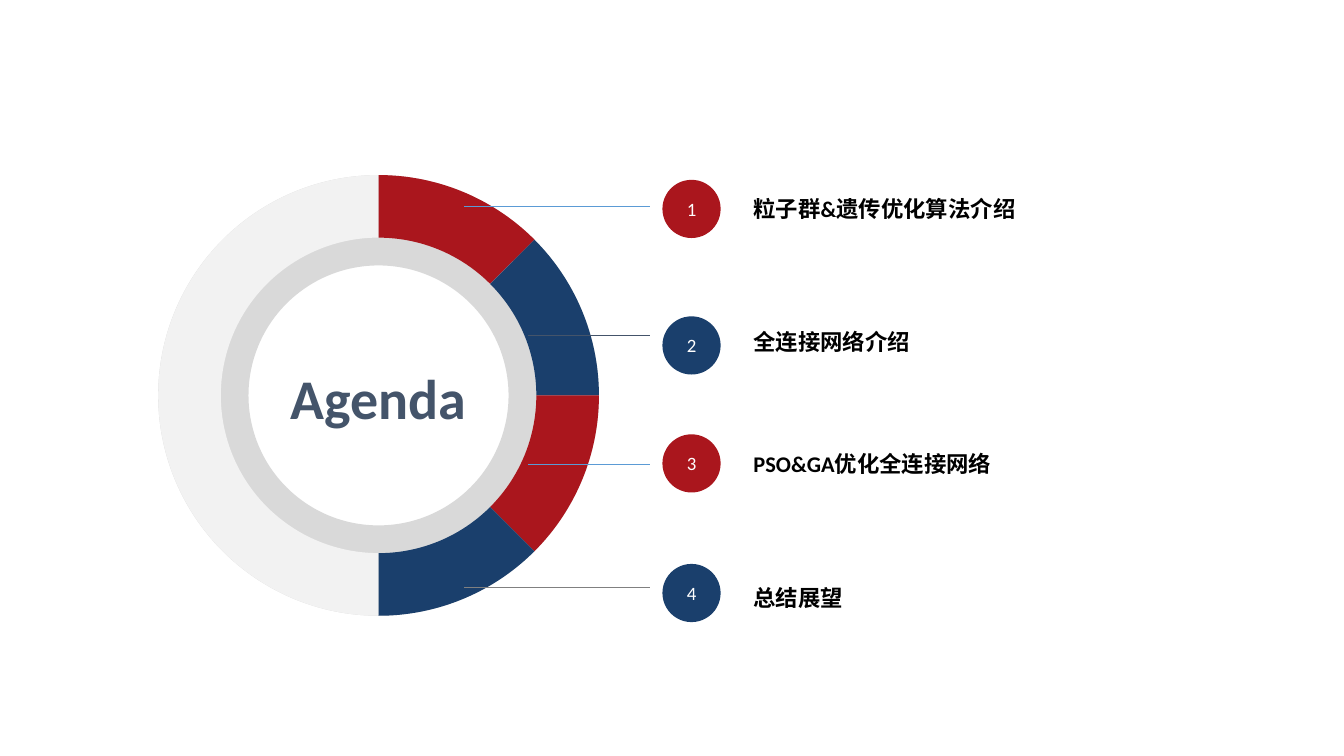
from math import cos, radians, sin

from lxml.etree import SubElement
from pptx import Presentation
from pptx.dml.color import RGBColor
from pptx.enum.shapes import MSO_CONNECTOR, MSO_SHAPE
from pptx.enum.text import MSO_ANCHOR, MSO_AUTO_SIZE, PP_ALIGN
from pptx.oxml.ns import qn
from pptx.util import Cm, Pt

COLORS = {
    "red": "AA161D", "navy": "1A3F6C", "pale": "F2F2F2", "ring": "D9D9D9",
    "slate": "44546A", "blue": "5B9BD5", "gray": "808080",
    "white": "FFFFFF", "black": "000000",
}
ENTRIES = [
    ("粒子群&遗传优化算法介绍", "red", "blue", 8.77, 3.90, 3.40, 3.58),
    ("全连接网络介绍", "navy", "slate", 9.98, 6.34, 5.98, 6.10),
    ("PSO&GA优化全连接网络", "red", "blue", 9.98, 8.78, 8.21, 8.41),
    ("总结展望", "navy", "gray", 8.77, 11.10, 10.66, 10.95),
]
STEP = 45


def rgb(name):
    """Return the named colour."""
    return RGBColor.from_string(COLORS[name])


def paint(shape, color):
    """Give a shape a flat fill without outline or shadow."""
    shape.shadow.inherit = False
    shape.fill.solid()
    shape.fill.fore_color.rgb = rgb(color)
    shape.line.fill.background()


def write_text(shape, text, size=12, color="black", bold=False,
               align=PP_ALIGN.LEFT, anchor=MSO_ANCHOR.TOP, grow=False):
    """Write one formatted paragraph into a shape."""
    frame = shape.text_frame
    frame.word_wrap = True
    frame.auto_size = MSO_AUTO_SIZE.SHAPE_TO_FIT_TEXT if grow else MSO_AUTO_SIZE.NONE
    frame.vertical_anchor = anchor
    frame.margin_left = frame.margin_right = Cm(0.19)
    frame.margin_top = frame.margin_bottom = Cm(0.1)
    paragraph = frame.paragraphs[0]
    paragraph.alignment = align
    run = paragraph.add_run()
    run.text = text
    run.font.name = "Calibri"
    run.font.size = Pt(size)
    run.font.bold = bold
    run.font.color.rgb = rgb(color)


def bend(segment, radius, angle, sweep):
    """Turn a straight path segment into a circular arc."""
    segment.tag = qn("a:arcTo")
    for point in list(segment):
        segment.remove(point)
    segment.set("wR", str(Cm(radius)))
    segment.set("hR", str(Cm(radius)))
    segment.set("stAng", str(angle % 360 * 60000))
    segment.set("swAng", str(sweep * 60000))


def add_sector(slide, center, radii, start, end, color):
    """Draw a ring sector between two angles, clockwise from the right."""
    outward = [(radii[0], angle) for angle in range(start, end + 1, STEP)]
    inward = [(radii[1], angle) for angle in range(end, start - 1, -STEP)]
    points = [
        (Cm(center[0] + radius * cos(radians(angle))),
         Cm(center[1] + radius * sin(radians(angle))))
        for radius, angle in outward + inward
    ]
    builder = slide.shapes.build_freeform(*points[0])
    builder.add_line_segments(points[1:], close=True)
    sector = builder.convert_to_shape()
    paint(sector, color)

    segments = list(sector._element.iter(qn("a:lnTo")))
    for segment, (radius, angle) in zip(segments, outward[:-1]):
        bend(segment, radius, angle, STEP)
    for segment, (radius, angle) in zip(segments[len(outward):], inward[:-1]):
        bend(segment, radius, angle, -STEP)


def add_wheel(slide, left, top, size):
    """Draw the ring, its sectors and the title in a square box."""
    donut = slide.shapes.add_shape(
        MSO_SHAPE.DONUT, Cm(left), Cm(top), Cm(size), Cm(size))
    donut.adjustments[0] = 0.205
    paint(donut, "ring")

    center = (left + size / 2, top + size / 2)
    radii = (size / 2, size * 0.358)
    add_sector(slide, center, radii, 90, 270, "pale")
    for index, entry in enumerate(ENTRIES):
        start = -90 + STEP * index
        add_sector(slide, center, radii, start, start + STEP, entry[1])

    title = slide.shapes.add_textbox(
        Cm(left + 1.93), Cm(top + 3.47), Cm(4.47), Cm(1.47))
    write_text(title, "Agenda", size=30, color="slate", bold=True,
               align=PP_ALIGN.CENTER, grow=True)


def add_entries(slide, left, width):
    """Draw the leader, numbered circle and label of each entry."""
    diameter = 1.1
    label_left = left + 1.53
    for number, entry in enumerate(ENTRIES, 1):
        text, color, line_color, leader_left, leader_y, circle_top, label_top = entry
        leader = slide.shapes.add_connector(
            MSO_CONNECTOR.STRAIGHT, Cm(leader_left), Cm(leader_y),
            Cm(left - 0.24), Cm(leader_y))
        leader.line.color.rgb = rgb(line_color)
        leader.line.width = Pt(0.5)
        SubElement(leader._element.spPr, qn("a:effectLst"))

        circle = slide.shapes.add_shape(
            MSO_SHAPE.OVAL, Cm(left), Cm(circle_top), Cm(diameter), Cm(diameter))
        paint(circle, color)
        write_text(circle, str(number), size=10.1, color="white",
                   align=PP_ALIGN.CENTER, anchor=MSO_ANCHOR.MIDDLE)

        label = slide.shapes.add_textbox(
            Cm(label_left), Cm(label_top), Cm(left + width - label_left), Cm(0.71))
        write_text(label, text, bold=True)


def main():
    """Build the agenda slide."""
    deck = Presentation()
    deck.slide_width, deck.slide_height = Cm(25.4), Cm(14.29)
    slide = deck.slides.add_slide(deck.slide_layouts[6])
    add_wheel(slide, left=2.99, top=3.31, size=8.33)
    add_entries(slide, left=12.52, width=9.86)
    deck.save("out.pptx")


if __name__ == "__main__":
    main()
